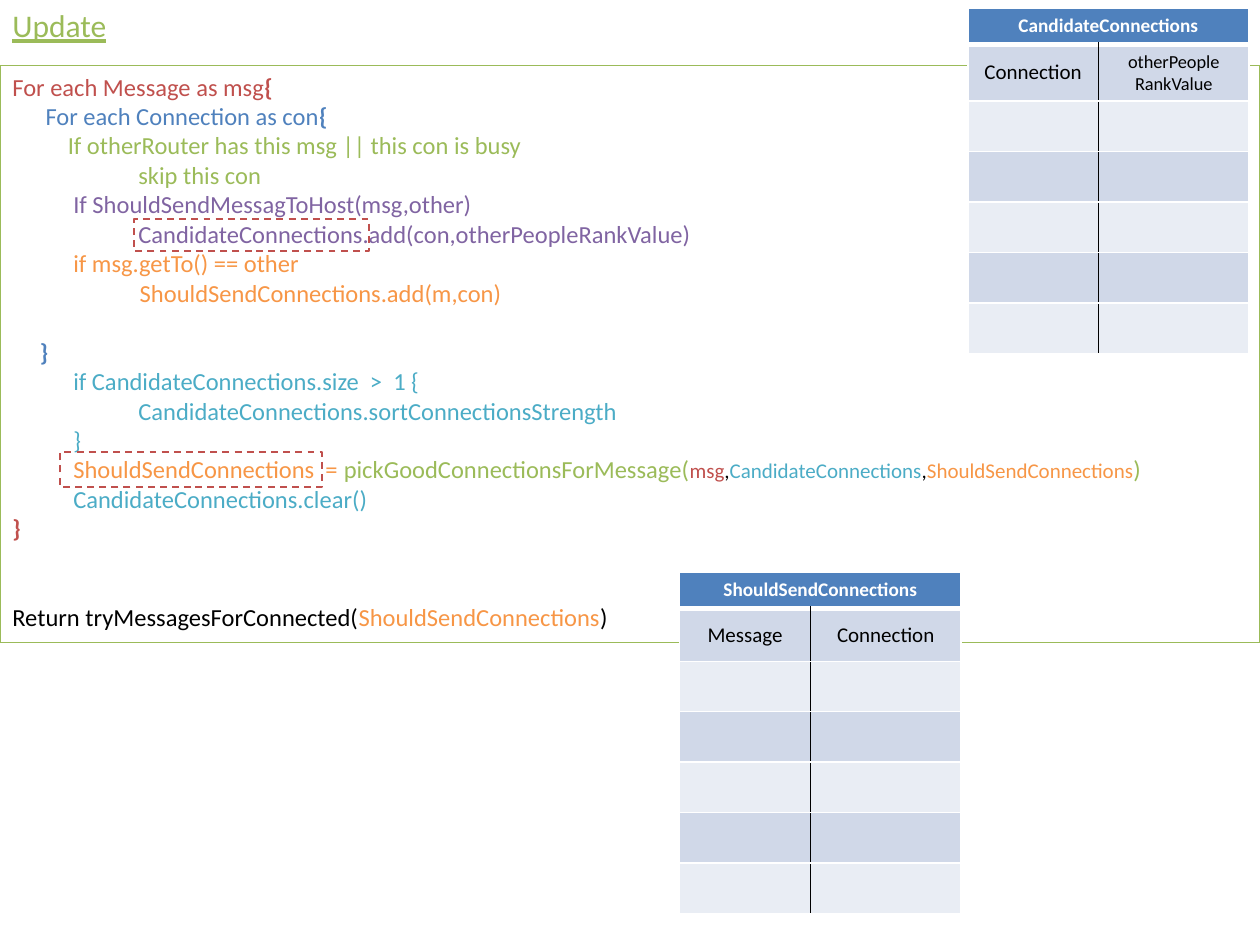
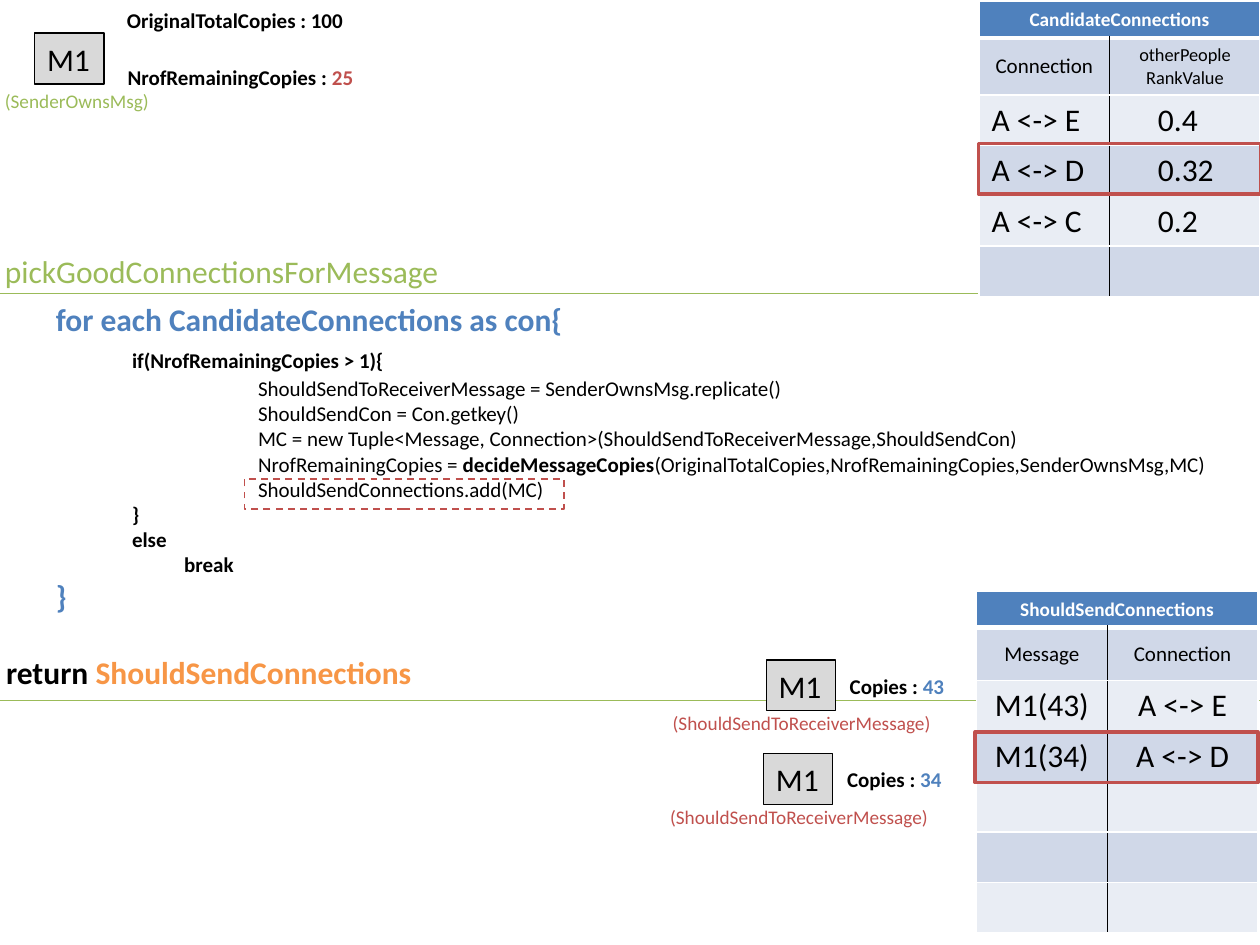
from lxml import etree
from pptx import Presentation
from pptx.dml.color import RGBColor
from pptx.enum.dml import MSO_LINE
from pptx.enum.shapes import MSO_SHAPE
from pptx.enum.text import MSO_ANCHOR, MSO_AUTO_SIZE, PP_ALIGN
from pptx.oxml.ns import qn
from pptx.util import Pt

RECTANGLE = MSO_SHAPE.RECTANGLE
DASH = MSO_LINE.DASH
TOP, MIDDLE = MSO_ANCHOR.TOP, MSO_ANCHOR.MIDDLE
LEFT, CENTER = PP_ALIGN.LEFT, PP_ALIGN.CENTER
GROW = MSO_AUTO_SIZE.SHAPE_TO_FIT_TEXT

BLACK, WHITE, GRAY = "000000", "FFFFFF", "D9D9D9"
RED, BLUE, GREEN = "C0504D", "4F81BD", "9BBB59"
PURPLE, ORANGE, TEAL = "8064A2", "F79646", "4BACC6"
BAND_DARK, BAND_LIGHT = "D0D8E8", "E9EDF4"


def rgb(value):
    return RGBColor.from_string(value)


def line(indent, *runs, **spacing):
    return indent, runs, spacing


class Deck:
    font = "Calibri"
    columns = (74.75, 86)
    title_row, label_row, body_row = 20.9, 30.2, 26.6

    def __init__(self):
        self.file = Presentation()
        self.file.slide_width, self.file.slide_height = Pt(720), Pt(540)
        self.slide = None

    def new_slide(self):
        self.slide = self.file.slides.add_slide(self.file.slide_layouts[6])

    def fill_text(self, frame, lines, size, bold=False, align=LEFT):
        for number, (indent, runs, spacing) in enumerate(lines):
            paragraph = frame.add_paragraph() if number else frame.paragraphs[0]
            paragraph.alignment = align
            for key, value in spacing.items():
                setattr(paragraph, key, Pt(value))
            if indent:
                properties = paragraph._p.get_or_add_pPr()
                properties.set("marL", str(Pt(indent)))
                properties.set("indent", "0")
            for text, color, *changes in runs:
                run = paragraph.add_run()
                run.text = text
                run.font.color.rgb = rgb(color)
                style = {"name": self.font, "size": Pt(size), "bold": bold}
                style.update(*changes)
                for key, value in style.items():
                    setattr(run.font, key, value)

    def box(self, place, stroke, width, fill=None, dash=None):
        shape = self.slide.shapes.add_shape(RECTANGLE, *map(Pt, place))
        shape.shadow.inherit = False
        if fill:
            shape.fill.solid()
            shape.fill.fore_color.rgb = rgb(fill)
        else:
            shape.fill.background()
        shape.line.color.rgb = rgb(stroke)
        shape.line.width = Pt(width)
        if dash:
            shape.line.dash_style = dash
        return shape

    def code(self, place, lines, size):
        frame = self.box(place, GREEN, 0.75).text_frame
        frame.word_wrap, frame.vertical_anchor = True, TOP
        self.fill_text(frame, lines, size)

    def label(self, place, size, *runs, bold=False):
        frame = self.slide.shapes.add_textbox(*map(Pt, place)).text_frame
        frame.word_wrap, frame.auto_size = False, GROW
        self.fill_text(frame, [line(0, *runs)], size, bold)

    def message(self, left, top):
        frame = self.box((left, top, 39.6, 29.1), BLACK, 0.75, GRAY).text_frame
        frame.word_wrap, frame.auto_size = False, GROW
        self.fill_text(frame, [line(0, ("M1", BLACK))], 18)

    def dashed(self, *place):
        self.box(place, RED, 1, dash=DASH)

    def highlight(self, *place):
        self.box(place, RED, 2)

    def border(self, cell, **sides):
        properties = cell._tc.get_or_add_tcPr()
        for position, (side, (color, width)) in enumerate(sides.items()):
            edge = etree.Element(qn("a:" + side), w=str(Pt(width)))
            paint = etree.SubElement(edge, qn("a:solidFill"))
            etree.SubElement(paint, qn("a:srgbClr"), val=color)
            properties.insert(position, edge)

    def cell(self, cell, fill, lines, size, color, bold, align, anchor, indent=0):
        cell.fill.solid()
        cell.fill.fore_color.rgb = rgb(fill)
        cell.vertical_anchor = anchor
        self.fill_text(cell.text_frame, [line(indent, (text, color)) for text in lines],
                       size, bold, align)

    def table(self, left, top, title, labels, body, align=CENTER, anchor=MIDDLE, indent=0):
        heights = [self.title_row, self.label_row] + [self.body_row] * len(body)
        table = self.slide.shapes.add_table(
            len(heights), 2, Pt(left), Pt(top), Pt(sum(self.columns)), Pt(sum(heights))).table
        for column, width in zip(table.columns, self.columns):
            column.width = Pt(width)
        for row, height in zip(table.rows, heights):
            row.height = Pt(height)
        thin, thick, divider = (WHITE, 1), (WHITE, 3), (BLACK, 1)
        table.cell(0, 0).merge(table.cell(0, 1))
        self.cell(table.cell(0, 0), BLUE, [title], 11, WHITE, True, CENTER, MIDDLE)
        for side in range(2):
            self.border(table.cell(0, side), lnL=thin, lnR=thin, lnT=thin, lnB=thick)
        for number, texts in enumerate([labels] + body, 1):
            for side in range(2):
                cell = table.cell(number, side)
                fill = BAND_DARK if number % 2 else BAND_LIGHT
                lines = texts[side].split("\n") if texts else []
                if number == 1:
                    size = 10.5 if len(lines) > 1 else 12
                    self.cell(cell, fill, lines, size, BLACK, False, CENTER, MIDDLE)
                else:
                    self.cell(cell, fill, lines, 18, BLACK, False, align, anchor, indent * side)
                self.border(cell, lnL=divider if side else thin, lnR=thin if side else divider,
                            lnT=thick if number == 1 else thin, lnB=thin)


BOLD, SMALL = {"bold": True}, {"size": Pt(12)}
LARGE = {"size": Pt(18), "bold": True}
CANDIDATES, SENDS = "CandidateConnections", "ShouldSendConnections"
CANDIDATE_LABELS = ("Connection", "otherPeople\nRankValue")
SEND_LABELS = ("Message", "Connection")
STEP, TAB = 34.8, 72

deck = Deck()

deck.new_slide()
deck.code((0, 37.4, 720, 329.8), [
    line(0, ("For each Message as msg", RED), ("{", RED, BOLD)),
    line(19, ("For each Connection as con", BLUE), ("{", BLUE, BOLD)),
    line(31.7, ("If otherRouter has this msg || this con is busy", GREEN)),
    line(TAB, ("skip this con", GREEN)),
    line(STEP, ("If ShouldSendMessagToHost(msg,other)", PURPLE)),
    line(TAB, (CANDIDATES + ".add(con,otherPeopleRankValue)", PURPLE)),
    line(STEP, ("if msg.getTo() == other", ORANGE)),
    line(72.8, (SENDS + ".add(m,con)", ORANGE)),
    line(15.8, ("}", BLUE, BOLD), space_before=17),
    line(STEP, ("if CandidateConnections.size  >  1 {", TEAL)),
    line(TAB, (CANDIDATES + ".sortConnectionsStrength", TEAL)),
    line(STEP, ("}", TEAL)),
    line(STEP, (SENDS + "  = ", ORANGE), ("pickGoodConnectionsForMessage(", GREEN),
         ("msg", RED, SMALL), (",", BLACK, SMALL), (CANDIDATES, TEAL, SMALL),
         (",", BLACK, SMALL), (SENDS, ORANGE, SMALL), (")", GREEN)),
    line(STEP, (CANDIDATES + ".clear()", TEAL)),
    line(0, ("}", RED, BOLD)),
    line(0, ("Return tryMessagesForConnected(", BLACK), (SENDS, ORANGE), (")", BLACK),
         space_before=34),
], 14)
deck.label((0, 0, 69, 29), 18, ("Update", GREEN, {"underline": True}))
deck.table(388.4, 326.8, SENDS, SEND_LABELS, [()] * 5)
deck.table(553, 4.5, CANDIDATES, CANDIDATE_LABELS, [()] * 5)
deck.dashed(76.5, 125.3, 134.5, 18)
deck.dashed(34.4, 258.5, 149.7, 20)

deck.new_slide()
deck.label((-4.3, 140.6, 265, 29), 18, ("pickGoodConnectionsForMessage", GREEN))
deck.code((-3.6, 167.8, 731.5, 232.6), [
    line(28.5, ("for each CandidateConnections as con{", BLUE, LARGE)),
    line(TAB, ("if(NrofRemainingCopies > 1){", BLACK, BOLD), space_before=5.7, space_after=1.6),
    line(2 * TAB, ("ShouldSendToReceiverMessage = SenderOwnsMsg.replicate()", BLACK)),
    line(2 * TAB, ("ShouldSendCon = Con.getkey()", BLACK)),
    line(2 * TAB, ("MC = new Tuple<Message, Connection>"
                   "(ShouldSendToReceiverMessage,ShouldSendCon)", BLACK)),
    line(2 * TAB, ("NrofRemainingCopies = ", BLACK), ("decideMessageCopies", BLACK, BOLD),
         ("(OriginalTotalCopies,NrofRemainingCopies,SenderOwnsMsg,MC)", BLACK)),
    line(2 * TAB, (SENDS + ".add(MC)", BLACK)),
    line(TAB, ("}", BLACK, BOLD)),
    line(TAB, ("else", BLACK, BOLD)),
    line(101.8, ("break", BLACK, BOLD)),
    line(28.5, ("}", BLUE, LARGE)),
    line(0, ("return ", BLACK, LARGE), (SENDS, ORANGE, LARGE), space_before=22),
], 12)
deck.table(559.4, 0.9, CANDIDATES, CANDIDATE_LABELS,
           [("A <-> E", "0.4"), ("A <-> D", "0.32"), ("A <-> C", "0.2"), ()],
           LEFT, TOP, 20.3)
deck.message(19.8, 18.9)
deck.label((65.5, 0.9, 139.7, 21.8), 12, ("OriginalTotalCopies : 100", BLACK), bold=True)
deck.label((65.8, 33.4, 145.4, 21.8), 12,
           ("NrofRemainingCopies : ", BLACK), ("25", RED), bold=True)
deck.label((-4.3, 47.5, 97, 20.6), 11, ("(SenderOwnsMsg)", GREEN))
deck.dashed(139.7, 273.6, 182.5, 17.3)
deck.table(558, 337.8, SENDS, SEND_LABELS,
           [("M1(43)", "A <-> E"), ("M1(34)", "A <-> D"), (), (), ()])
deck.highlight(557.3, 418.2, 161.5, 29)
deck.highlight(559.2, 82, 161.5, 29)
for left, top, copies in ((437.8, 377.1, "43"), (436.3, 430.6, "34")):
    deck.message(left, top)
    deck.label((left - 60.5, top + 26, 164.2, 20.6), 11, ("(ShouldSendToReceiverMessage)", RED))
    deck.label((left + 40.7, top + 4, 69, 21.8), 12,
               ("Copies : ", BLACK), (copies, BLUE), bold=True)

deck.file.save("out.pptx")
